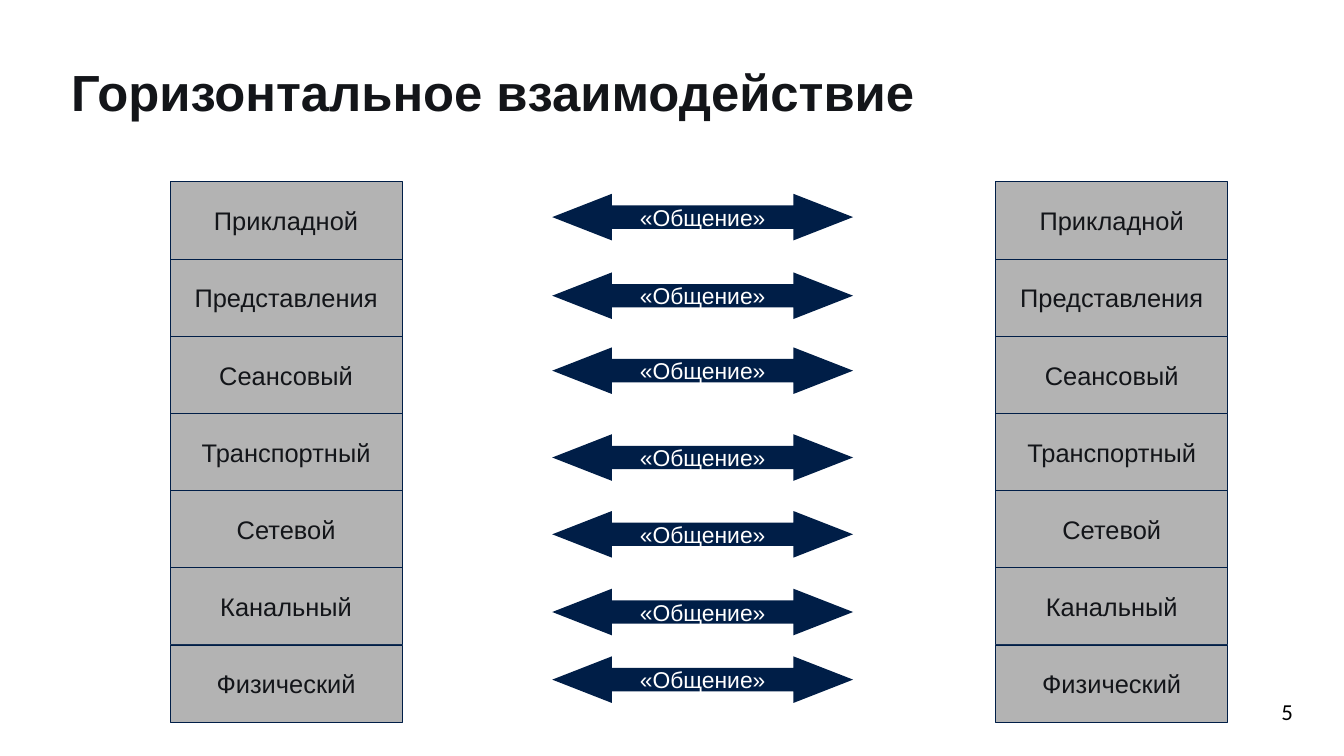
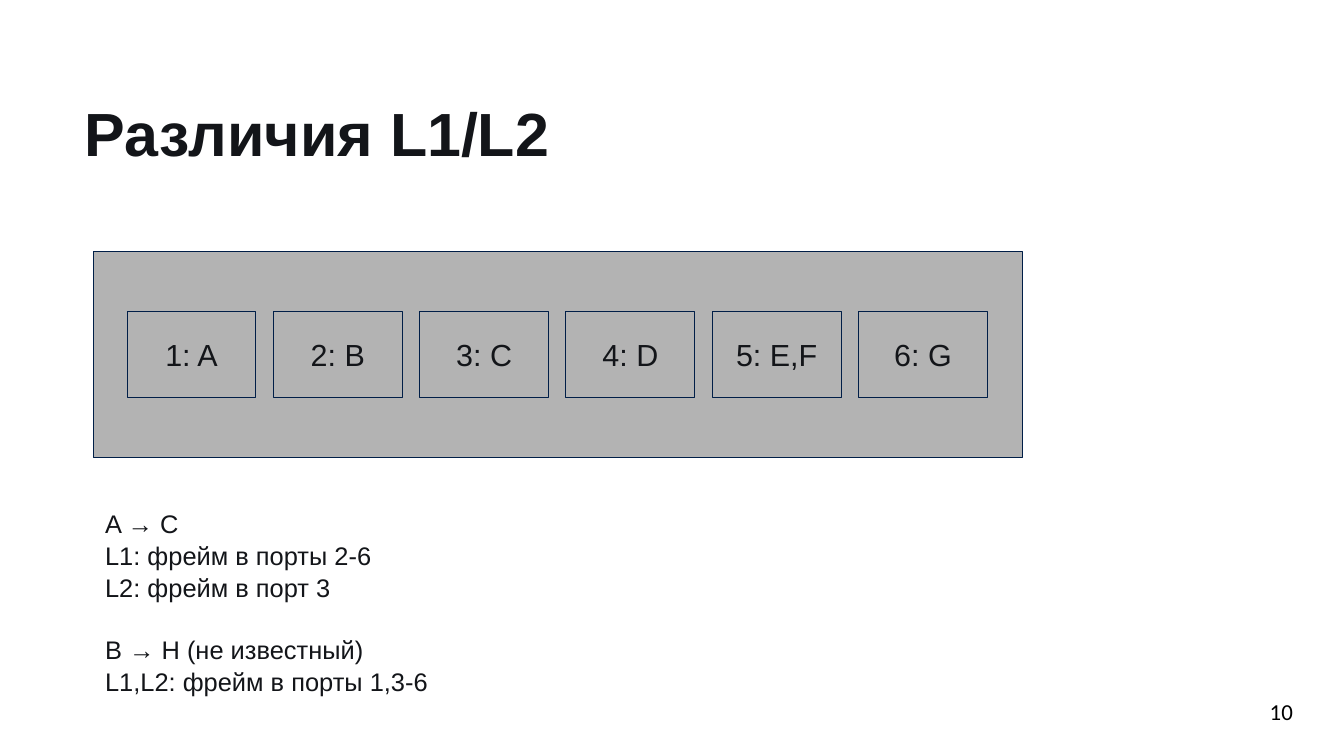
from dataclasses import dataclass

import pptx
import pptx.dml.color
import pptx.enum.shapes
import pptx.enum.text
import pptx.util

Inches = pptx.util.Inches
Pt = pptx.util.Pt
SHAPE = pptx.enum.shapes.MSO_SHAPE
ALIGN = pptx.enum.text.PP_ALIGN
ANCHOR = pptx.enum.text.MSO_ANCHOR

# Shared style
INK = "131519"
NAVY = "001E47"
GREY = "B3B3B3"
WHITE = "FFFFFF"
BLACK = "000000"
FONT = "Arial"
NUMBER_FONT = "Calibri"

# Layer stacks and the exchange between them
LAYERS = ["Прикладной", "Представления", "Сеансовый", "Транспортный",
          "Сетевой", "Канальный", "Физический"]
STACK_LEFTS = [1.86, 10.89]
STACK_TOP = 1.99
LAYER_WIDTH = 2.54
LAYER_HEIGHT = 5.91 / len(LAYERS)
EXCHANGE_TOPS = [2.12, 2.98, 3.8, 4.75, 5.59, 6.44, 7.18]

# Switch ports and the frame rules below them
PORTS = ["1: A", "2: B", "3: C", "4: D", "5: E,F", "6: G"]
PORT_LEFT = 1.39
PORT_PITCH = 1.6
FRAME_RULES = [
    ["A → С", "L1: фрейм в порты 2-6", "L2: фрейм в порт 3"],
    ["B → H (не известный)", "L1,L2: фрейм в порты 1,3-6"],
]


@dataclass
class Box:
    left: float
    top: float
    width: float
    height: float

    def lengths(self):
        return [Inches(v) for v in (self.left, self.top, self.width, self.height)]


def rgb(value: str):
    return pptx.dml.color.RGBColor.from_string(value)


def write(frame, groups: list[list[str]], *, size: float, color: str = INK,
          font: str = FONT, bold: bool = False, align=ALIGN.LEFT,
          anchor=ANCHOR.TOP, wrap: bool = True, spacing: float | None = None,
          group_gap: float = 0, inset: tuple[float, float] = (0.1, 0.05)) -> None:
    """Write groups of lines, one paragraph a line, with a gap between groups."""
    frame.word_wrap = wrap
    frame.vertical_anchor = anchor
    frame.margin_left = frame.margin_right = Inches(inset[0])
    frame.margin_top = frame.margin_bottom = Inches(inset[1])
    lines = [(text, group_no > 0 and line_no == 0)
             for group_no, group in enumerate(groups)
             for line_no, text in enumerate(group)]
    for index, (text, opens_group) in enumerate(lines):
        paragraph = frame.add_paragraph() if index else frame.paragraphs[0]
        paragraph.alignment = align
        if spacing:
            paragraph.line_spacing = spacing
        if opens_group:
            paragraph.space_before = Pt(group_gap)
        run = paragraph.add_run()
        run.text = text
        run.font.name = font
        run.font.size = Pt(size)
        run.font.bold = bold
        run.font.color.rgb = rgb(color)


def add_text(slide, box: Box, groups: list[list[str]], **text_format) -> None:
    write(slide.shapes.add_textbox(*box.lengths()).text_frame, groups, **text_format)


def add_block(slide, box: Box, label: str = "", *, kind=SHAPE.RECTANGLE,
              fill: str = GREY, outline: str | None = NAVY, size: float = 20,
              color: str = INK):
    block = slide.shapes.add_shape(kind, *box.lengths())
    block.shadow.inherit = False
    block.fill.solid()
    block.fill.fore_color.rgb = rgb(fill)
    if outline:
        block.line.color.rgb = rgb(outline)
        block.line.width = Pt(0)
    else:
        block.line.fill.background()
    if label:
        write(block.text_frame, [[label]], size=size, color=color,
              align=ALIGN.CENTER, anchor=ANCHOR.MIDDLE, wrap=False, inset=(0.13, 0))
    return block


def add_slide(deck, title: str, title_box: Box, title_size: float, number: int):
    slide = deck.slides.add_slide(deck.slide_layouts[6])
    add_text(slide, title_box, [[title]], size=title_size, bold=True, spacing=0.9)
    add_text(slide, Box(12.98, 7.58, 1.26, 0.44), [[str(number)]], size=18,
             color=BLACK, font=NUMBER_FONT, align=ALIGN.RIGHT)
    return slide


def add_horizontal_slide(deck) -> None:
    slide = add_slide(deck, "Горизонтальное взаимодействие",
                      Box(0.68, 0.69, 10.71, 0.96), 40, 5)
    # Two equal stacks of layers
    for left in STACK_LEFTS:
        for row, layer in enumerate(LAYERS):
            top = STACK_TOP + row * LAYER_HEIGHT
            add_block(slide, Box(left, top, LAYER_WIDTH, LAYER_HEIGHT), layer)
    # One exchange arrow for each layer
    for top in EXCHANGE_TOPS:
        arrow = add_block(slide, Box(6.04, top, 3.29, 0.51), "«Общение»",
                          kind=SHAPE.LEFT_RIGHT_ARROW, fill=NAVY, outline=None,
                          size=18, color=WHITE)
        arrow.adjustments[0] = 0.5
        arrow.adjustments[1] = 1.28


def add_differences_slide(deck) -> None:
    slide = add_slide(deck, "Различия L1/L2", Box(0.83, 1.09, 13.23, 0.94), 48, 10)
    # Switch with its ports
    add_block(slide, Box(1.02, 2.75, 10.16, 2.26))
    for index, port in enumerate(PORTS):
        left = PORT_LEFT + index * PORT_PITCH
        add_block(slide, Box(left, 3.41, 1.41, 0.94), port, size=24)
    # Where each frame goes
    add_text(slide, Box(1.02, 5.48, 3.83, 2.07), FRAME_RULES, size=20, wrap=False,
             spacing=1.04, group_gap=24, inset=(0.13, 0.07))


def main() -> None:
    deck = pptx.Presentation()
    deck.slide_width = Inches(14.7)
    deck.slide_height = Inches(8.27)
    add_horizontal_slide(deck)
    add_differences_slide(deck)
    deck.save("out.pptx")


if __name__ == "__main__":
    main()
